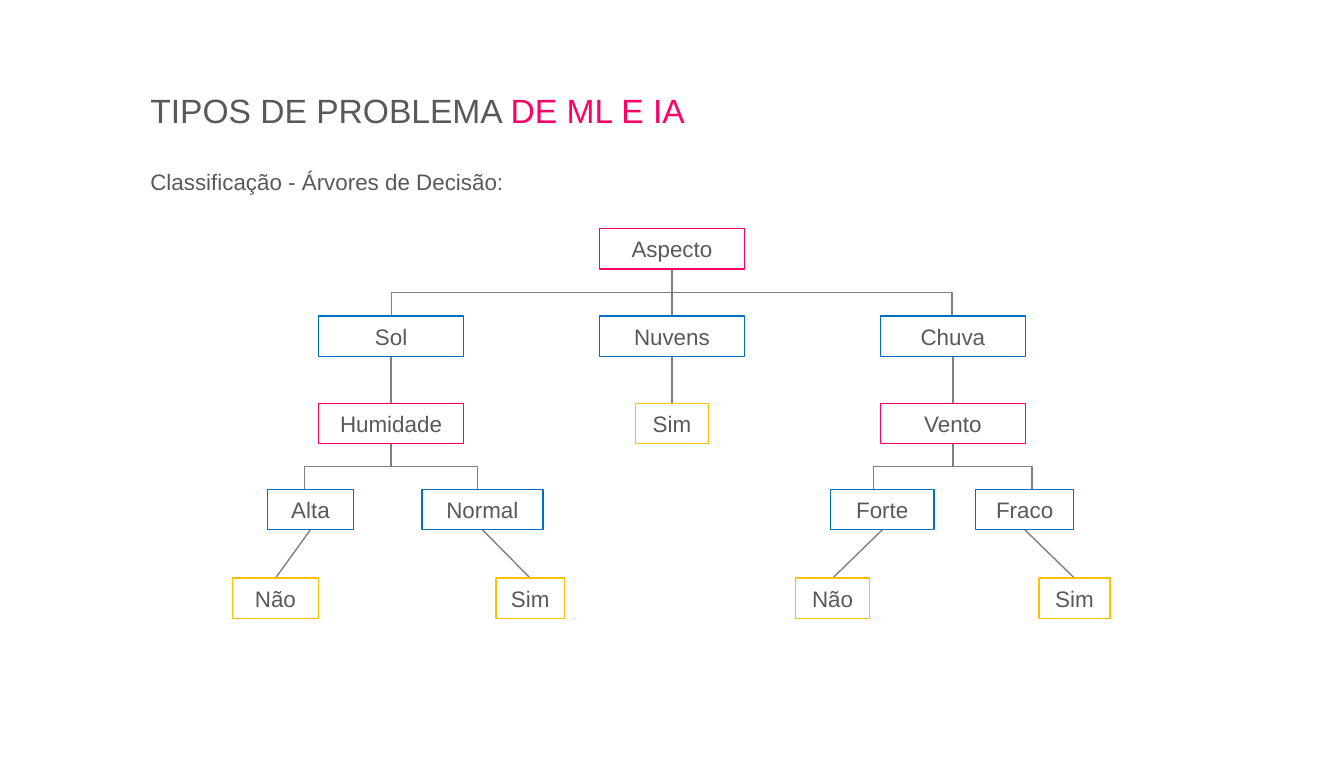
from typing import NamedTuple

from pptx import Presentation
from pptx import util as u
from pptx.dml.color import RGBColor
from pptx.enum import shapes, text
from pptx.oxml.ns import qn
from lxml import etree

FONT = "Arial"
INK, PINK, BLUE, GOLD, GRAY = "595959", "FF0066", "0070C0", "FFC000", "7F7F7F"
ROWS = (1.7, 2.35, 3.0, 3.64, 4.3)
TALL = 0.3


class Node(NamedTuple):
    label: str
    left: float
    row: int
    width: float
    hue: str

    @property
    def mid(self) -> float:
        return self.left + self.width / 2

    @property
    def top(self) -> float:
        return ROWS[self.row]


class Fork(NamedTuple):
    mid: float
    row: int
    span: float


NODES = {
    "root": Node("Aspecto", 4.46, 0, 1.08, PINK),
    "sun": Node("Sol", 2.37, 1, 1.08, BLUE),
    "cloud": Node("Nuvens", 4.46, 1, 1.08, BLUE),
    "rain": Node("Chuva", 6.55, 1, 1.08, BLUE),
    "humid": Node("Humidade", 2.37, 2, 1.08, PINK),
    "cloud yes": Node("Sim", 4.73, 2, 0.54, GOLD),
    "wind": Node("Vento", 6.55, 2, 1.08, PINK),
    "high": Node("Alta", 1.99, 3, 0.64, BLUE),
    "normal": Node("Normal", 3.14, 3, 0.9, BLUE),
    "strong": Node("Forte", 6.18, 3, 0.77, BLUE),
    "weak": Node("Fraco", 7.26, 3, 0.73, BLUE),
    "high no": Node("Não", 1.73, 4, 0.64, GOLD),
    "normal yes": Node("Sim", 3.69, 4, 0.51, GOLD),
    "strong no": Node("Não", 5.92, 4, 0.55, GOLD),
    "weak yes": Node("Sim", 7.73, 4, 0.53, GOLD),
}
LINKS = (
    ("root", "cloud"), ("sun", "humid"), ("cloud", "cloud yes"),
    ("rain", "wind"), ("high", "high no"), ("normal", "normal yes"),
    ("strong", "strong no"), ("weak", "weak yes"),
)
FORKS = (Fork(5, 0, 4.17), Fork(2.91, 2, 1.29), Fork(7.09, 2, 1.18))


def tint(code: str) -> RGBColor:
    return RGBColor.from_string(code)


def edge(shape, hue: str) -> None:
    shape.line.color.rgb = tint(hue)
    shape.line.width = u.Pt(0.75)


def write(shape, *runs: tuple[str, str], size: float = 12,
          align=text.PP_ALIGN.LEFT) -> None:
    frame = shape.text_frame
    frame.word_wrap = True
    frame.auto_size = text.MSO_AUTO_SIZE.SHAPE_TO_FIT_TEXT
    para = frame.paragraphs[0]
    para.alignment = align
    for words, hue in runs:
        run = para.add_run()
        run.text = words
        run.font.name = FONT
        run.font.size = u.Pt(size)
        run.font.color.rgb = tint(hue)


def label(slide, top: float, tall: float, *runs: tuple[str, str],
          size: float) -> None:
    box = slide.shapes.add_textbox(
        u.Inches(1.02), u.Inches(top), u.Inches(7.95), u.Inches(tall))
    write(box, *runs, size=size)


def outline(slide, kind, left: float, top: float, width: float,
            tall: float, hue: str):
    shape = slide.shapes.add_shape(
        kind, u.Inches(left), u.Inches(top), u.Inches(width), u.Inches(tall))
    shape.shadow.inherit = False
    shape.fill.background()
    edge(shape, hue)
    return shape


def draw_node(slide, node: Node) -> None:
    box = outline(slide, shapes.MSO_SHAPE.RECTANGLE, node.left, node.top,
                  node.width, TALL, node.hue)
    write(box, (node.label, INK), align=text.PP_ALIGN.CENTER)


def draw_link(slide, start: Node, end: Node) -> None:
    line = slide.shapes.add_connector(
        shapes.MSO_CONNECTOR.STRAIGHT,
        u.Inches(start.mid), u.Inches(start.top + TALL),
        u.Inches(end.mid), u.Inches(end.top))
    edge(line, GRAY)
    etree.SubElement(line._element.spPr, qn("a:effectLst"))


def draw_fork(slide, fork: Fork) -> None:
    top, base = ROWS[fork.row] + TALL, ROWS[fork.row + 1]
    depth = base - top
    brace = outline(slide, shapes.MSO_SHAPE.RIGHT_BRACE,
                    fork.mid - depth / 2, (top + base - fork.span) / 2,
                    depth, fork.span, GRAY)
    brace.rotation = 270
    brace.adjustments[0] = 0
    brace.adjustments[1] = 0.5


def main() -> None:
    deck = Presentation()
    deck.slide_width, deck.slide_height = u.Inches(10), u.Inches(5.63)
    slide = deck.slides.add_slide(deck.slide_layouts[6])
    for fork in FORKS:
        draw_fork(slide, fork)
    for start, end in LINKS:
        draw_link(slide, NODES[start], NODES[end])
    label(slide, 1.2, 0.3, ("Classificação - Árvores de Decisão:", INK), size=12)
    label(slide, 0.62, 0.4, ("TIPOS DE PROBLEMA ", INK), ("DE ML E IA", PINK),
          size=18)
    for node in NODES.values():
        draw_node(slide, node)
    deck.save("out.pptx")


if __name__ == "__main__":
    main()
